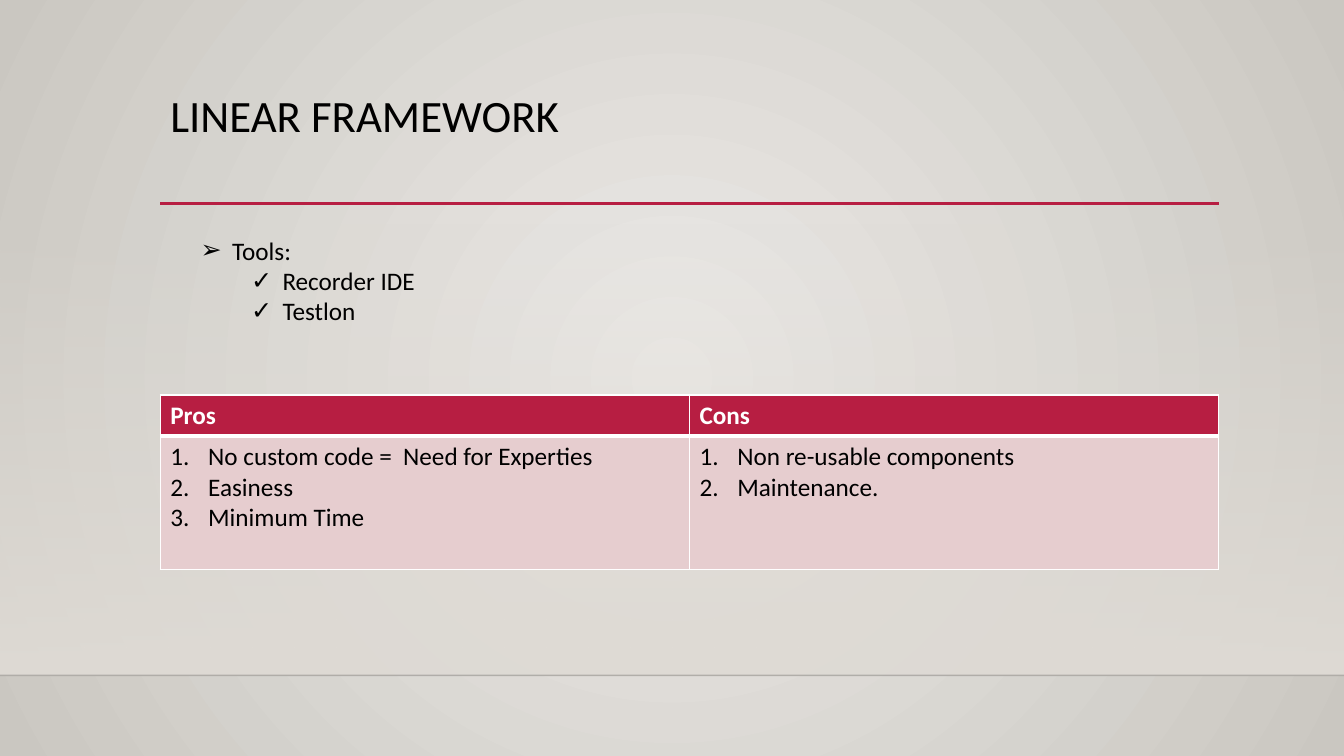
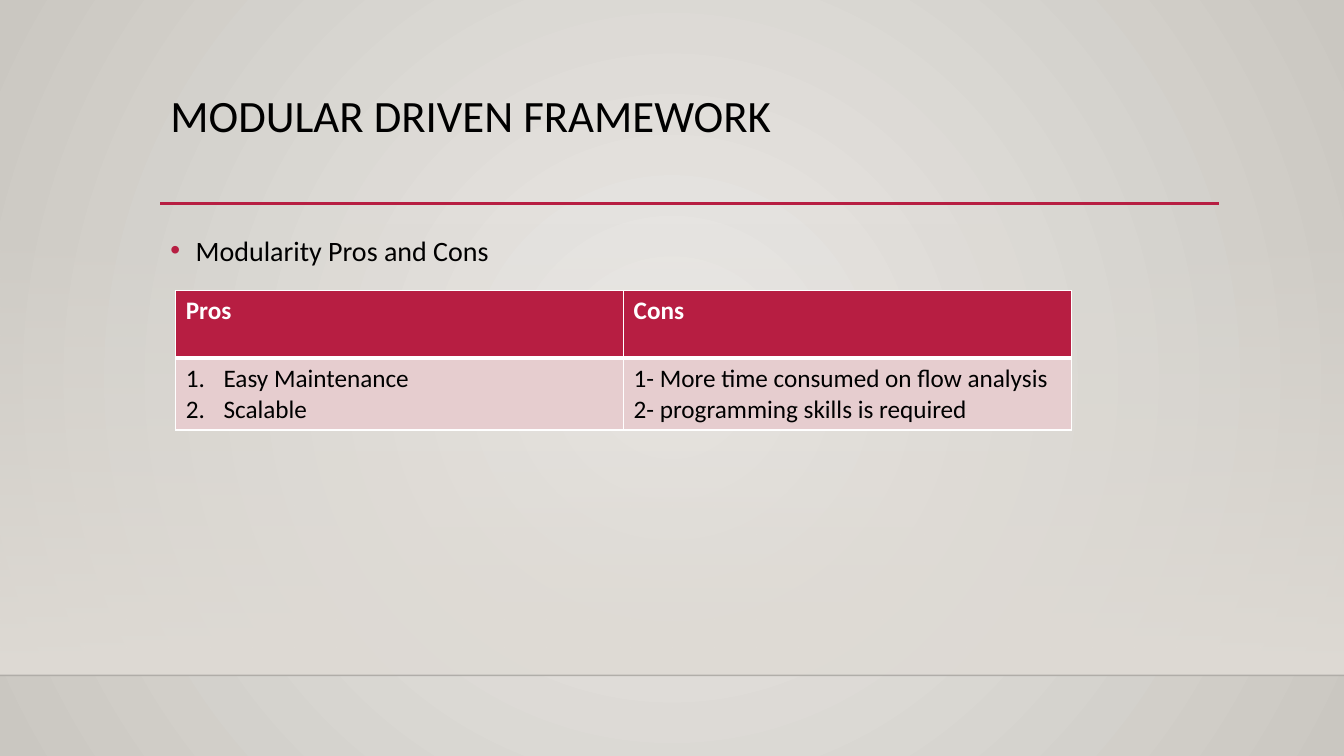
import dataclasses

import pptx
import pptx.dml.color
import pptx.enum.shapes
import pptx.enum.text
import pptx.oxml
import pptx.oxml.ns
import pptx.util

Pt = pptx.util.Pt
RGBColor = pptx.dml.color.RGBColor
qn = pptx.oxml.ns.qn


@dataclasses.dataclass(frozen=True)
class Theme:
    font: str = "Calibri"
    accent: str = "B71E42"
    tint: str = "E6CDCF"
    ink: str = "000000"
    white: str = "FFFFFF"
    center: str = "ECEAE7"
    edge: str = "CAC7C1"
    band: str = "DFDBD5"
    title_size: int = 32
    lead_size: int = 20
    text_size: int = 18


THEME = Theme()
WIDTH, HEIGHT = 960, 540
LEFT, CONTENT_WIDTH = 114.5, 756
FLOOR = 482.4
TITLE_BOX = (LEFT, 63.4, CONTENT_WIDTH, 82.8)
BODY_BOX = (LEFT, 158.4, CONTENT_WIDTH, 271.4)
THIN, THICK = 1, 3
NUMBER_INDENT = 27


@dataclasses.dataclass(frozen=True)
class Bullet:
    symbol: str
    margin: float
    hanging: float
    color: str
    size: int
    spacing: float = 1.0
    before: float = 0


ARROW = Bullet("➢", 58.5, 22.5, THEME.ink, THEME.text_size)
CHECK = Bullet("✓", 94.5, 22.5, THEME.ink, THEME.text_size)
DOT = Bullet("•", 18, 18, THEME.accent, THEME.lead_size, 1.2, 10)

SLIDES = [
    {
        "title": "LINEAR FRAMEWORK",
        "body_box": (100.1, 164.2, 645, 116.6),
        "body": [(ARROW, "Tools:"), (CHECK, "Recorder IDE"), (CHECK, "Testlon")],
        "table_box": (LEFT, 282.2, CONTENT_WIDTH),
        "rows": (29.5, 95),
        "columns": [
            ("Pros", True, ["No custom code =  Need for Experties", "Easiness", "Minimum Time"]),
            ("Cons", True, ["Non re-usable components", "Maintenance."]),
        ],
    },
    {
        "title": "MODULAR DRIVEN FRAMEWORK",
        "body_box": BODY_BOX,
        "body": [(DOT, "Modularity Pros and Cons")],
        "table_box": (125.5, 207.4, 640),
        "rows": (48.5, 51.2),
        "columns": [
            ("Pros", True, ["Easy Maintenance", "Scalable"]),
            ("Cons", False, ["1- More time consumed on flow analysis",
                             "2- programming skills is required"]),
        ],
    },
]


def rgb(code):
    return RGBColor.from_string(code)


def add_xml(parent, tag, **attributes):
    child = pptx.oxml.parse_xml(f'<{tag} {pptx.oxml.ns.nsdecls("a")}/>')
    for name, value in attributes.items():
        child.set(name, str(value))
    parent.append(child)
    return child


def place(box, bounds):
    box.left, box.top, box.width, box.height = map(Pt, bounds)


def set_gradient(fill, first, last):
    fill.gradient()
    for stop, color in zip(fill.gradient_stops, (first, last)):
        stop.color.rgb = rgb(color)


def paint_background(master):
    set_gradient(master.background.fill, THEME.center, THEME.edge)
    gradient = master.element.xpath("./p:cSld/p:bg//a:gradFill")[0]
    gradient.remove(gradient.find(qn("a:lin")))
    circle = add_xml(gradient, "a:path", path="circle")
    add_xml(circle, "a:fillToRect", l=50000, t=50000, r=50000, b=50000)


def add_band(page):
    """Floor band that fades in from transparent at its top."""
    band = page.shapes.add_shape(pptx.enum.shapes.MSO_SHAPE.RECTANGLE,
                                 Pt(0), Pt(159), Pt(WIDTH), Pt(FLOOR - 159))
    band.shadow.inherit = False
    band.line.fill.background()
    set_gradient(band.fill, THEME.band, THEME.band)
    band.fill.gradient_angle = 270
    add_xml(band.element.xpath(".//a:gs/a:srgbClr")[0], "a:alpha", val=0)
    return band


def add_rule(page, left, right, top, color, weight, opacity=100):
    rule = page.shapes.add_connector(pptx.enum.shapes.MSO_CONNECTOR.STRAIGHT,
                                     Pt(left), Pt(top), Pt(right), Pt(top))
    rule.line.color.rgb = rgb(color)
    rule.line.width = Pt(weight)
    if opacity < 100:
        add_xml(rule.element.xpath(".//a:ln//a:srgbClr")[0], "a:alpha", val=opacity * 1000)
    add_xml(rule.element.spPr, "a:effectLst")
    return rule


def build_master(deck, page):
    """Give the master its background, decoration and placeholder positions."""
    master = deck.slide_master
    paint_background(master)
    decoration = [
        add_band(page),
        add_rule(page, 0, WIDTH, FLOOR, THEME.ink, 1, 20),
        add_rule(page, LEFT, LEFT + CONTENT_WIDTH, 145.4, THEME.accent, 2.5),
    ]
    tree = master.element.xpath("./p:cSld/p:spTree")[0]
    for index, shape in enumerate(decoration):
        shape.element.xpath(".//p:cNvPr")[0].set("id", str(20 + index))
        tree.insert(2 + index, shape.element)
    for box, bounds in zip(master.placeholders, (TITLE_BOX, BODY_BOX)):
        place(box, bounds)


def write(para, text, size, color=THEME.ink, bold=False):
    span = para.add_run()
    span.text = text
    span.font.name = THEME.font
    span.font.size = Pt(size)
    span.font.bold = bold
    span.font.color.rgb = rgb(color)


def paragraphs(frame, count):
    """Yield the first paragraph, then new ones."""
    for index in range(count):
        yield frame.add_paragraph() if index else frame.paragraphs[0]


def indent(para, margin, hanging):
    properties = para._p.get_or_add_pPr()
    properties.set("marL", str(Pt(margin)))
    properties.set("indent", str(-Pt(hanging)))
    return properties


def prepare_frame(box):
    frame = box.text_frame
    frame.word_wrap = True
    frame.auto_size = pptx.enum.text.MSO_AUTO_SIZE.NONE
    frame.vertical_anchor = pptx.enum.text.MSO_ANCHOR.TOP
    return frame


def fill_title(box, text):
    para = prepare_frame(box).paragraphs[0]
    para.alignment = pptx.enum.text.PP_ALIGN.LEFT
    para.line_spacing = 0.9
    write(para, text, THEME.title_size)


def fill_body(box, bounds, items):
    place(box, bounds)
    frame = prepare_frame(box)
    for para, (bullet, text) in zip(paragraphs(frame, len(items)), items):
        para.line_spacing = bullet.spacing
        para.space_before = Pt(bullet.before)
        properties = indent(para, bullet.margin, bullet.hanging)
        add_xml(add_xml(properties, "a:buClr"), "a:srgbClr", val=bullet.color)
        add_xml(properties, "a:buFont", typeface="Arial")
        add_xml(properties, "a:buChar", char=bullet.symbol)
        write(para, text, bullet.size)


def style_cell(cell, color, top, bottom):
    properties = cell._tc.get_or_add_tcPr()
    for side, weight in zip("LRTB", (THIN, THIN, top, bottom)):
        line = add_xml(properties, f"a:ln{side}", w=Pt(weight))
        add_xml(add_xml(line, "a:solidFill"), "a:srgbClr", val=THEME.white)
    cell.fill.solid()
    cell.fill.fore_color.rgb = rgb(color)


def add_comparison(page, bounds, heights, columns):
    left, top, width = bounds
    table = page.shapes.add_table(len(heights), len(columns), Pt(left), Pt(top),
                                  Pt(width), Pt(sum(heights))).table
    for row, height in zip(table.rows, heights):
        row.height = Pt(height)
    for index, (heading, numbered, points) in enumerate(columns):
        table.columns[index].width = Pt(width / len(columns))
        header, content = table.cell(0, index), table.cell(1, index)
        style_cell(header, THEME.accent, THIN, THICK)
        style_cell(content, THEME.tint, THICK, THIN)
        write(header.text_frame.paragraphs[0], heading, THEME.text_size, THEME.white, True)
        for para, text in zip(paragraphs(content.text_frame, len(points)), points):
            if numbered:
                properties = indent(para, NUMBER_INDENT, NUMBER_INDENT)
                add_xml(properties, "a:buFont", typeface="+mj-lt")
                add_xml(properties, "a:buAutoNum", type="arabicPeriod")
            write(para, text, THEME.text_size)


def main():
    deck = pptx.Presentation()
    deck.slide_width, deck.slide_height = Pt(WIDTH), Pt(HEIGHT)
    pages = [deck.slides.add_slide(deck.slide_layouts[1]) for _ in SLIDES]
    build_master(deck, pages[0])
    for page, content in zip(pages, SLIDES):
        fill_title(page.shapes.title, content["title"])
        fill_body(page.placeholders[1], content["body_box"], content["body"])
        add_comparison(page, content["table_box"], content["rows"], content["columns"])
    deck.save("out.pptx")


if __name__ == "__main__":
    main()
